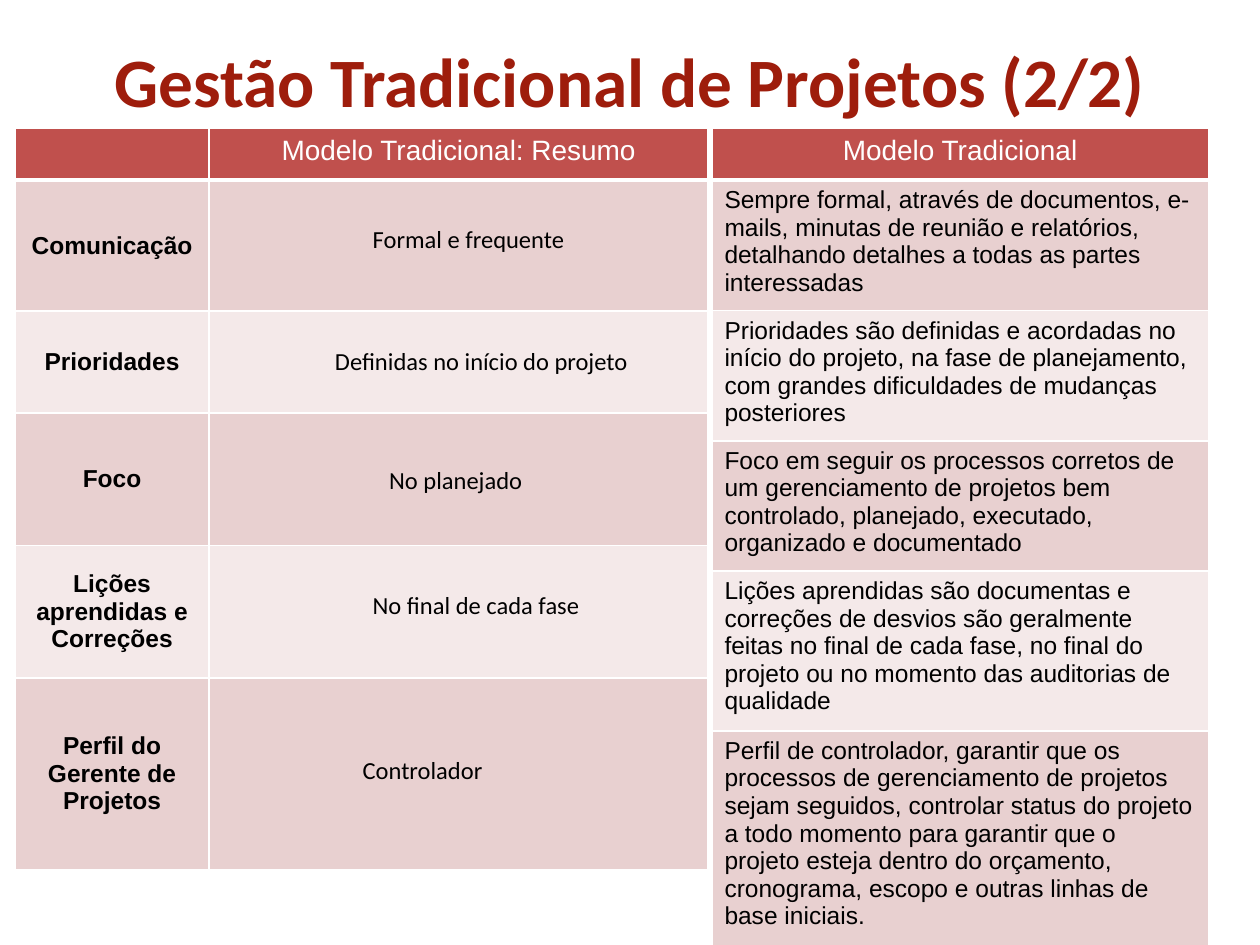
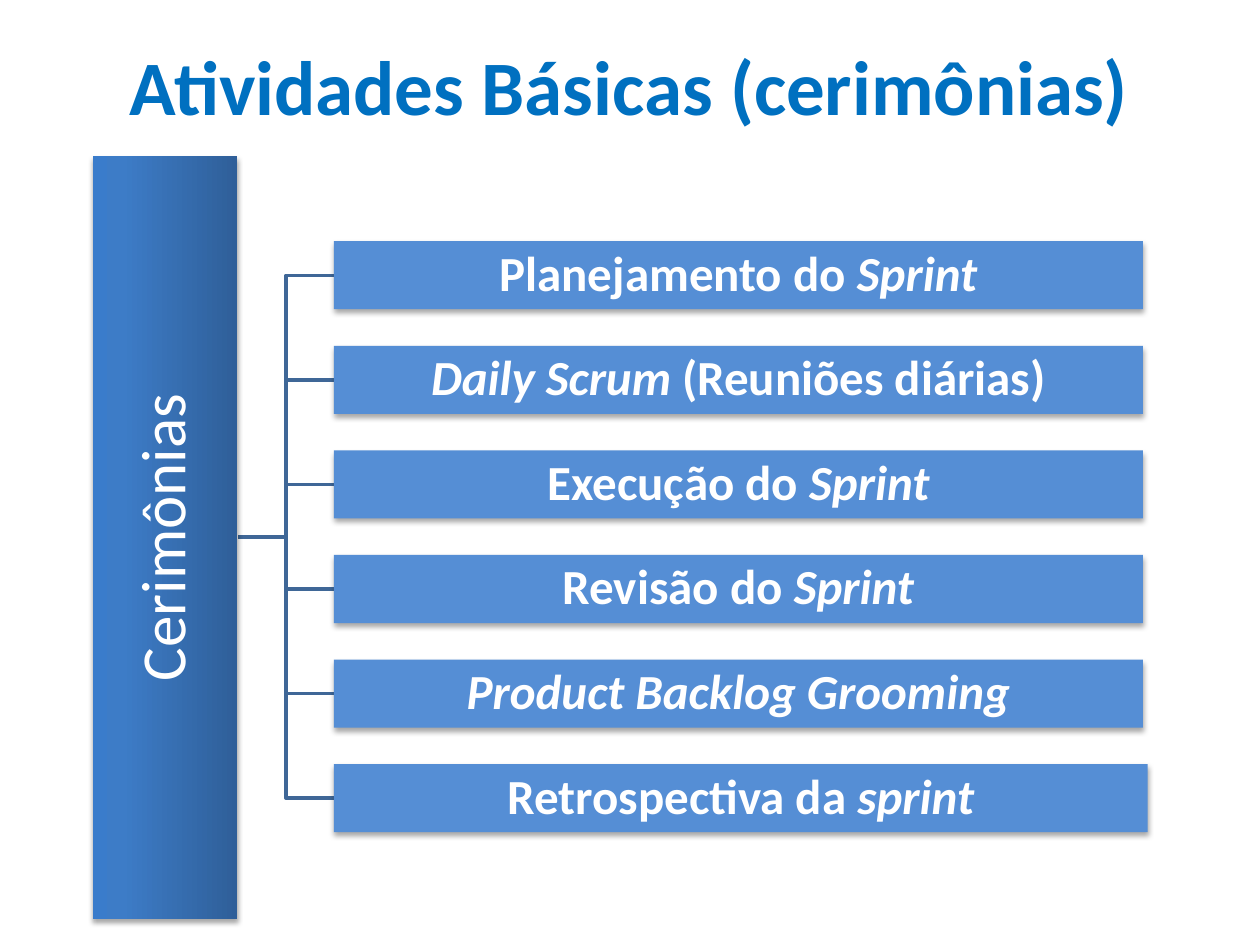
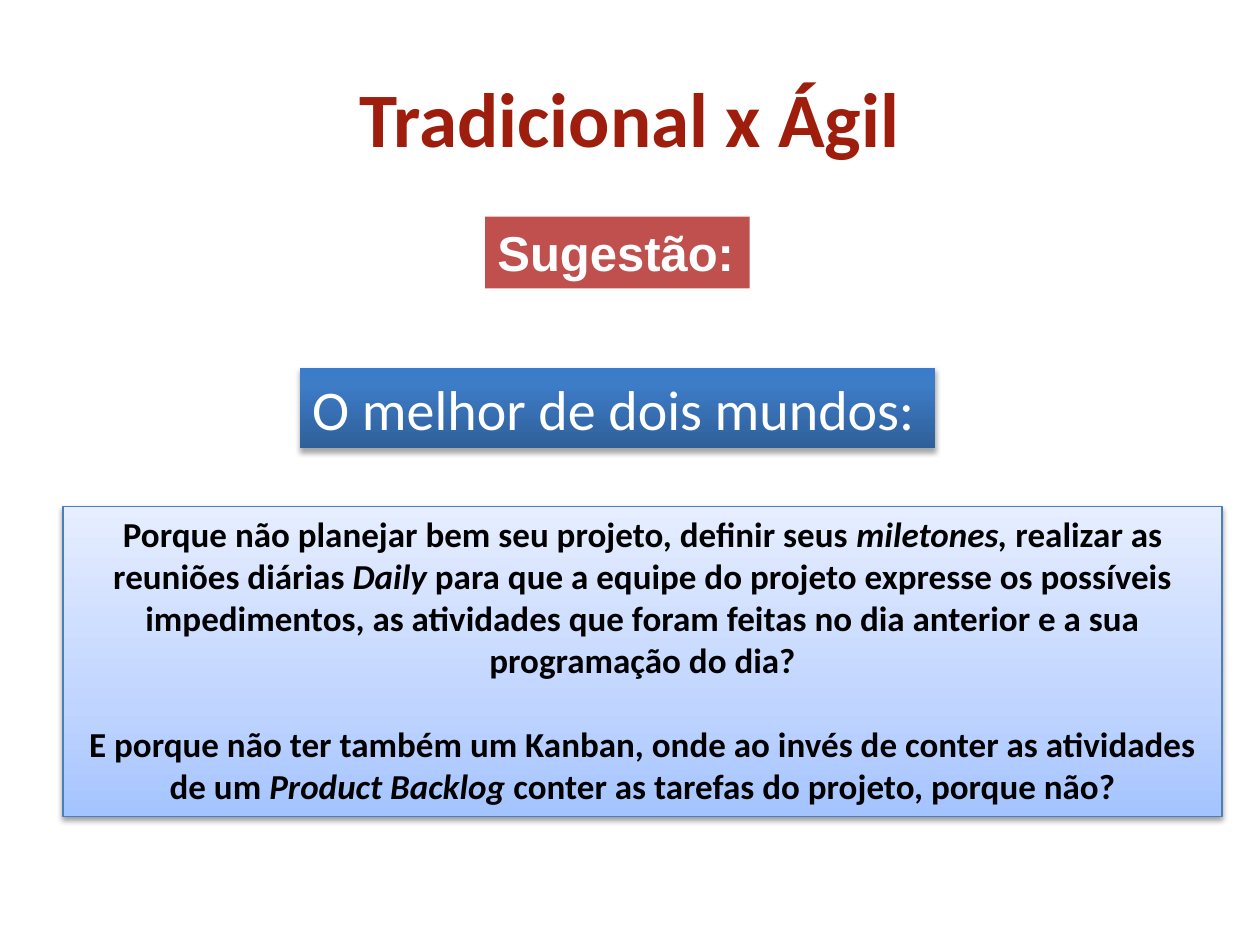
from lxml import etree
from pptx import Presentation
from pptx.dml.color import RGBColor
from pptx.enum import shapes, text
from pptx.oxml import ns
from pptx.util import Inches, Pt

# Shared style
RED_TITLE = RGBColor(0x9E, 0x1D, 0x0C)
BLUE_TITLE = RGBColor(0x00, 0x70, 0xC0)
RED = RGBColor(0xC0, 0x50, 0x4D)
ROW_TINTS = RGBColor(0xE8, 0xD0, 0xD0), RGBColor(0xF4, 0xE9, 0xE9)
BAR_BLUE = RGBColor(0x55, 0x8E, 0xD5)
BRACKET_BLUE = RGBColor(0x3F, 0x67, 0x97)
PANEL_EDGE = RGBColor(0x4B, 0x7E, 0xBC)
WHITE = RGBColor(0xFF, 0xFF, 0xFF)
BLACK = RGBColor(0x00, 0x00, 0x00)
DEEP_STOPS = [(0, RGBColor(0x2F, 0x5F, 0x99)), (80, RGBColor(0x3D, 0x7C, 0xC7)),
              (100, RGBColor(0x3A, 0x7C, 0xCB))]
PALE_STOPS = [(0, RGBColor(0xA4, 0xC4, 0xFF)), (35, RGBColor(0xBF, 0xD4, 0xFF)),
              (100, RGBColor(0xE6, 0xEE, 0xFF))]
CENTER, LEFT = text.PP_ALIGN.CENTER, text.PP_ALIGN.LEFT
MIDDLE, TOP = text.MSO_ANCHOR.MIDDLE, text.MSO_ANCHOR.TOP

# Slide 1 content
HEADER_HEIGHT = 0.41
TOPICS = [("Comunicação", 1.04), ("Prioridades", 0.81), ("Foco", 1.05),
          ("Lições aprendidas e Correções", 1.05),
          ("Perfil do Gerente de Projetos", 1.52)]
DETAILS = [
    ("Sempre formal, através de documentos, e-mails, minutas de reunião e "
     "relatórios, detalhando detalhes a todas as partes interessadas", 0.97),
    ("Prioridades são definidas e acordadas no início do projeto, na fase de "
     "planejamento, com grandes dificuldades de mudanças posteriores", 0.97),
    ("Foco em seguir os processos corretos de um gerenciamento de projetos bem "
     "controlado, planejado, executado, organizado e documentado", 0.97),
    ("Lições aprendidas são documentas e correções de desvios são geralmente "
     "feitas no final de cada fase, no final do projeto ou no momento das "
     "auditorias de qualidade", 1.19),
    ("Perfil de controlador, garantir que os processos de gerenciamento de "
     "projetos sejam seguidos, controlar status do projeto a todo momento para "
     "garantir que o projeto esteja dentro do orçamento, cronograma, escopo e "
     "outras linhas de base iniciais.", 1.63)]
SUMMARIES = [("Formal e frequente", 2.86, 1.73, 1.74),
             ("Definidas no início do projeto", 2.56, 2.7, 2.55),
             ("No planejado", 2.99, 3.64, 1.27),
             ("No final de cada fase", 2.86, 4.63, 1.9),
             ("Controlador", 2.78, 5.94, 1.16)]

# Slides 2 and 3 content; asterisks enclose italics
CEREMONIES = ["Planejamento do *Sprint*", "*Daily Scrum *(Reuniões diárias)",
              "Execução do *Sprint*", "Revisão do *Sprint*",
              "*Product Backlog Grooming*", "Retrospectiva da *sprint*"]
PROPOSALS = [
    "Porque não planejar bem seu projeto, definir seus *miletones,* realizar as "
    "reuniões diárias *Daily* para que a equipe do projeto expresse os possíveis "
    "impedimentos, as atividades que foram feitas no dia anterior e a sua "
    "programação do dia?",
    "E porque não ter também um Kanban, onde ao invés de conter as atividades de "
    "um *Product Backlog* conter as tarefas do projeto, porque não?"]


def write(frame, paragraphs, size=14, font="Calibri", color=BLACK, bold=False,
          align=LEFT, spacing=None, gap=0):
    """Fill a text frame; text between asterisks becomes italic."""
    if isinstance(paragraphs, str):
        paragraphs = [paragraphs]
    for i, content in enumerate(paragraphs):
        paragraph = frame.add_paragraph() if i else frame.paragraphs[0]
        paragraph.alignment = align
        if spacing:
            paragraph.line_spacing = spacing
        if i:
            paragraph.space_before = Pt(gap)
        for j, part in enumerate(content.split("*")):
            if part:
                run = paragraph.add_run()
                run.text = part
                run.font.name, run.font.size = font, Pt(size)
                run.font.bold, run.font.italic = bold, j % 2 == 1
                run.font.color.rgb = color


def set_frame(frame, wrap=True, anchor=TOP, inset=None, grow=False):
    frame.word_wrap = wrap
    frame.vertical_anchor = anchor
    if grow:
        frame.auto_size = text.MSO_AUTO_SIZE.SHAPE_TO_FIT_TEXT
    if inset is not None:
        frame.margin_left = frame.margin_right = Inches(inset)
        frame.margin_top = frame.margin_bottom = Inches(inset)


def add_label(slide, content, box, wrap=True, anchor=TOP, grow=False, **style):
    label = slide.shapes.add_textbox(*map(Inches, box))
    set_frame(label.text_frame, wrap, anchor, grow=grow)
    write(label.text_frame, content, **style)


def add_title(slide, content, top, color, size=44):
    add_label(slide, content, (0.5, top, 9, 1.25), anchor=MIDDLE, size=size,
              color=color, bold=True, align=CENTER)


def child(parent, tag, **attributes):
    return etree.SubElement(parent, ns.qn(tag), attributes)


def add_color(parent, color, opacity=None):
    rgb = child(parent, "a:srgbClr", val=str(color))
    if opacity:
        child(rgb, "a:alpha", val=str(opacity * 1000))


def fill_gradient(shape, stops):
    """Linear gradient running from the bottom edge to the top."""
    shape.fill.gradient()
    gradient = shape.element.spPr.find(ns.qn("a:gradFill"))
    for old in list(gradient):
        gradient.remove(old)
    stop_list = child(gradient, "a:gsLst")
    for position, color in stops:
        add_color(child(stop_list, "a:gs", pos=str(position * 1000)), color)
    child(gradient, "a:lin", ang="16200000", scaled="0")
    gradient.set("rotWithShape", "1")


def cast_shadow(shape, opacity, distance):
    effects = shape.element.spPr.find(ns.qn("a:effectLst"))
    shadow = child(effects, "a:outerShdw", blurRad=str(Pt(3.1)),
                   dist=str(Pt(distance)), dir="5400000", rotWithShape="0")
    add_color(shadow, BLACK, opacity)


def add_panel(slide, content, box, fill, edge=None, shadow=None, wrap=True,
              anchor=TOP, inset=None, grow=False, **style):
    panel = slide.shapes.add_shape(shapes.MSO_SHAPE.RECTANGLE, *map(Inches, box))
    panel.shadow.inherit = False
    if isinstance(fill, list):
        fill_gradient(panel, fill)
    else:
        panel.fill.solid()
        panel.fill.fore_color.rgb = fill
    if edge:
        panel.line.color.rgb, panel.line.width = edge, Pt(0.75)
    else:
        panel.line.fill.background()
    if shadow:
        cast_shadow(panel, *shadow)
    set_frame(panel.text_frame, wrap, anchor, inset, grow)
    write(panel.text_frame, content, **style)
    return panel


def add_branch(slide, points):
    (x, y), *rest = [(Inches(px), Inches(py)) for px, py in points]
    builder = slide.shapes.build_freeform(x, y)
    builder.add_line_segments(rest, close=False)
    branch = builder.convert_to_shape()
    branch.shadow.inherit = False
    branch.fill.background()
    branch.line.color.rgb, branch.line.width = BRACKET_BLUE, Pt(2)


def style_cell(cell, fill, bottom=1):
    properties = cell._tc.get_or_add_tcPr()
    for side in ("L", "R", "T", "B"):
        width = bottom if side == "B" else 1
        border = child(properties, f"a:ln{side}", w=str(Pt(width)))
        add_color(child(border, "a:solidFill"), WHITE)
    cell.fill.solid()
    cell.fill.fore_color.rgb = fill


def add_model_table(slide, left, widths, headers, rows, anchor=TOP, **style):
    """Red header over tinted rows; body text goes in the first column."""
    heights = [HEADER_HEIGHT] + [height for _, height in rows]
    box = left, 1.02, sum(widths), sum(heights)
    table = slide.shapes.add_table(len(heights), len(widths),
                                   *map(Inches, box)).table
    for column, width in zip(table.columns, widths):
        column.width = Inches(width)
    for row, height in zip(table.rows, heights):
        row.height = Inches(height)
    for cell, header in zip(table.rows[0].cells, headers):
        style_cell(cell, RED, bottom=3)
        write(cell.text_frame, header, size=16, font="Arial", color=WHITE,
              align=CENTER)
    for i, (content, _) in enumerate(rows):
        cells = table.rows[i + 1].cells
        for cell in cells:
            style_cell(cell, ROW_TINTS[i % 2])
        cells[0].vertical_anchor = anchor
        write(cells[0].text_frame, content, font="Arial", **style)


def build_traditional(slide):
    add_title(slide, "Gestão Tradicional de Projetos (2/2)", 0.01, RED_TITLE, 39.6)
    add_model_table(slide, 0.12, [1.54, 3.96], ["", "Modelo Tradicional: Resumo"],
                    TOPICS, anchor=MIDDLE, bold=True, align=CENTER)
    add_model_table(slide, 5.65, [3.94], ["Modelo Tradicional"], DETAILS)
    for summary, left, top, width in SUMMARIES:
        add_label(slide, summary, (left, top, width, 0.34), wrap=False, grow=True)


def build_ceremonies(slide):
    add_title(slide, "Atividades Básicas (cerimônias)", 0.05, BLUE_TITLE)
    root_x, trunk_x, bar_x, middle = 1.89, 2.27, 2.65, 4.26
    pitch, bar_height = 0.83, 0.54
    last = len(CEREMONIES) - 1
    centers = [middle + (i - last / 2) * pitch for i in range(last + 1)]
    # Bracket behind the bars
    for y in centers:
        add_branch(slide, [(root_x, middle), (trunk_x, middle), (trunk_x, y),
                           (bar_x, y)])
    # Upright root bar and ceremony bars
    shared = dict(shadow=(35, 1.8), anchor=MIDDLE, color=WHITE, align=CENTER,
                  spacing=0.9)
    root = add_panel(slide, "Cerimônias", (-1.72, 3.69, 6.06, 1.15), DEEP_STOPS,
                     inset=0.03, size=36, **shared)
    root.rotation = 270
    for i, (ceremony, y) in enumerate(zip(CEREMONIES, centers)):
        width = 6.46 if i == last else 6.42
        add_panel(slide, ceremony, (bar_x, y - bar_height / 2, width, bar_height),
                  BAR_BLUE, inset=0.02, size=28, bold=True, **shared)


def build_suggestion(slide):
    add_title(slide, "Tradicional x Ágil", 0.3, RED_TITLE)
    add_panel(slide, "Sugestão:", (3.85, 1.72, 2.1, 0.57), RED, wrap=False,
              grow=True, size=28, font="Arial", color=WHITE, bold=True)
    add_panel(slide, PROPOSALS, (0.5, 4.02, 9.2, 2.46), PALE_STOPS,
              edge=PANEL_EDGE, shadow=(38, 1.6), grow=True, size=20, bold=True,
              align=CENTER, gap=24)
    add_panel(slide, "O melhor de dois mundos:", (2.38, 2.92, 5.04, 0.64),
              DEEP_STOPS, shadow=(35, 1.8), wrap=False, grow=True, size=32,
              color=WHITE)


def main():
    deck = Presentation()
    deck.slide_width, deck.slide_height = Inches(10), Inches(7.5)
    blank = deck.slide_layouts[6]
    for build in (build_traditional, build_ceremonies, build_suggestion):
        build(deck.slides.add_slide(blank))
    deck.save("out.pptx")


if __name__ == "__main__":
    main()
